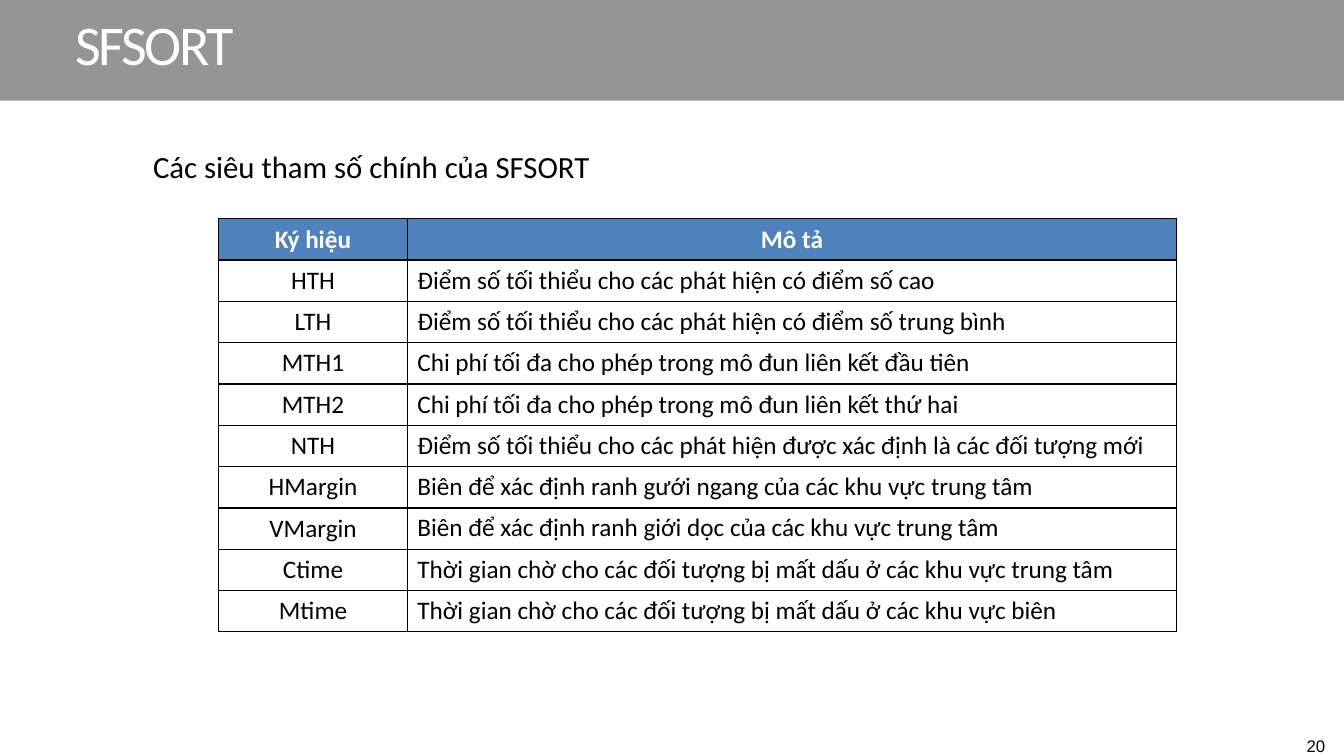
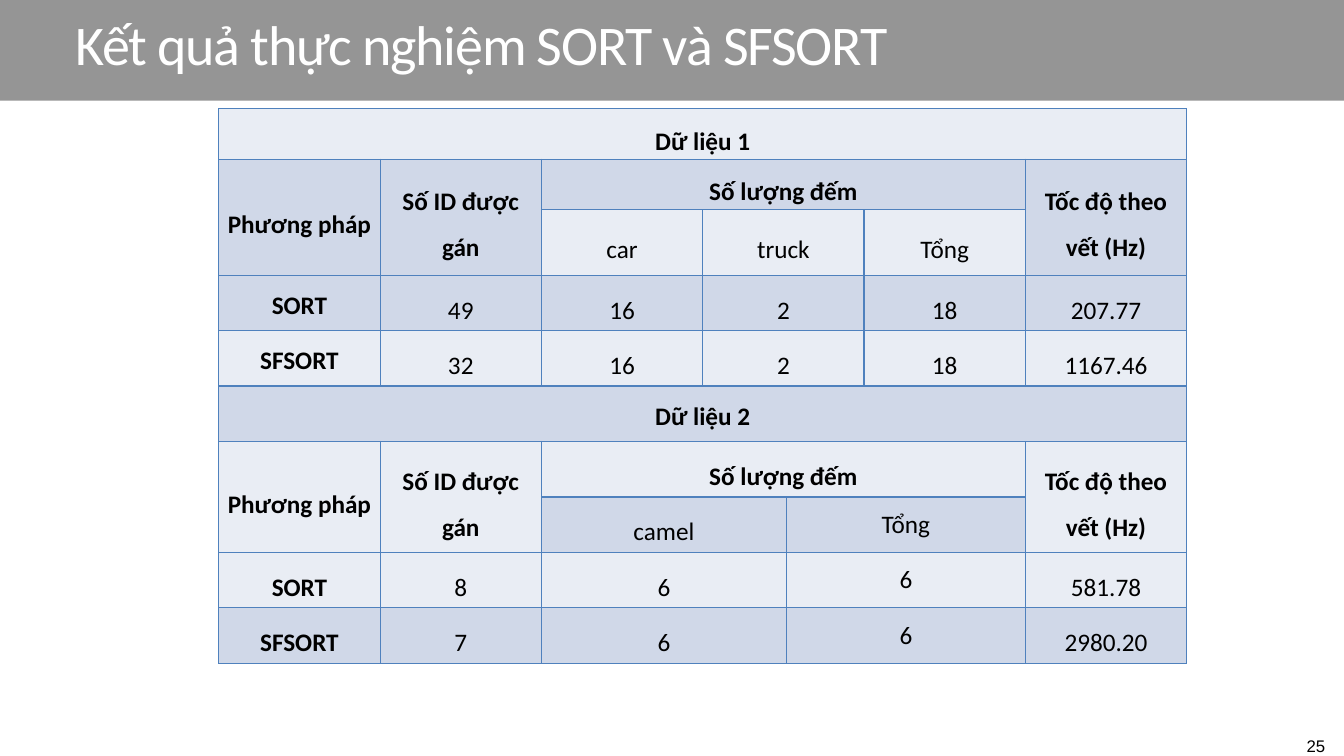
"""Build two slides on the SFSORT tracker: its parameters and its test results."""
from lxml.etree import SubElement
from pptx import Presentation
from pptx.dml.color import RGBColor
from pptx.enum.shapes import MSO_SHAPE
from pptx.enum.text import MSO_ANCHOR as Anchor, PP_ALIGN as Align
from pptx.oxml.ns import qn
from pptx.util import Inches, Pt

COLORS = {
    "band": "959595",
    "white": "FFFFFF",
    "black": "000000",
    "blue": "4F81BD",
    "pale": "E9EDF4",
    "tint": "D0D8E8",
}
LEFT, UP = "<", "^"

PARAMETERS = [
    ("Ký hiệu", "Mô tả"),
    ("HTH", "Điểm số tối thiểu cho các phát hiện có điểm số cao"),
    ("LTH", "Điểm số tối thiểu cho các phát hiện có điểm số trung bình"),
    ("MTH1", "Chi phí tối đa cho phép trong mô đun liên kết đầu tiên"),
    ("MTH2", "Chi phí tối đa cho phép trong mô đun liên kết thứ hai"),
    ("NTH", "Điểm số tối thiểu cho các phát hiện được xác định là các đối tượng mới"),
    ("HMargin", "Biên để xác định ranh gưới ngang của các khu vực trung tâm"),
    ("VMargin", "Biên để xác định ranh giới dọc của các khu vực trung tâm"),
    ("Ctime", "Thời gian chờ cho các đối tượng bị mất dấu ở các khu vực trung tâm"),
    ("Mtime", "Thời gian chờ cho các đối tượng bị mất dấu ở các khu vực biên"),
]

HEADINGS = ["Phương pháp", "Số ID được gán", "Số lượng đếm",
            LEFT, LEFT, LEFT, "Tốc độ theo vết (Hz)"]
RESULTS = [
    ["Dữ liệu 1"] + [LEFT] * 6,
    HEADINGS,
    [UP, UP, "car", "truck", LEFT, "Tổng", UP],
    ["SORT", "49", "16", "2", LEFT, "18", "207.77"],
    ["SFSORT", "32", "16", "2", LEFT, "18", "1167.46"],
    ["Dữ liệu 2"] + [LEFT] * 6,
    HEADINGS,
    [UP, UP, "camel", LEFT, "Tổng", LEFT, UP],
    ["SORT", "8", "6", LEFT, "6", LEFT, "581.78"],
    ["SFSORT", "7", "6", LEFT, "6", LEFT, "2980.20"],
]


class Slides:
    def __init__(self):
        self.deck = Presentation()
        self.deck.slide_width = Inches(13.33)
        self.deck.slide_height = Inches(7.5)
        self.page = None

    def style(self, para, size, color="black", bold=False, font="Calibri", spacing=None):
        para.font.name = font
        para.font.size = Pt(size)
        para.font.bold = bold
        para.font.color.rgb = RGBColor.from_string(COLORS[color])
        if spacing is not None:
            para.font._rPr.set("spc", str(round(spacing * 100)))

    def inset(self, frame, left=0, top=0, right=0, bottom=0):
        frame.margin_left, frame.margin_top = Inches(left), Inches(top)
        frame.margin_right, frame.margin_bottom = Inches(right), Inches(bottom)

    def add_page(self, heading, number, spacing):
        self.page = self.deck.slides.add_slide(self.deck.slide_layouts[5])
        title = self.page.shapes.title
        self.add_band(title)
        title.left, title.top = Inches(0.75), Inches(0.08)
        title.width, title.height = Inches(9.66), Inches(0.69)
        frame = title.text_frame
        self.inset(frame, top=0.01)
        frame.vertical_anchor = Anchor.TOP
        frame.text = heading
        para = frame.paragraphs[0]
        para.alignment = Align.LEFT
        self.style(para, 40, "white", spacing=spacing)
        self.add_number(number)

    def add_band(self, title):
        band = self.page.shapes.add_shape(
            MSO_SHAPE.RECTANGLE, 0, 0, self.deck.slide_width, Inches(1))
        band.shadow.inherit = False
        band.fill.solid()
        band.fill.fore_color.rgb = RGBColor.from_string(COLORS["band"])
        band.line.fill.background()
        title.element.addprevious(band.element)

    def add_text(self, text, left, top, width, height):
        box = self.page.shapes.add_textbox(
            Inches(left), Inches(top), Inches(width), Inches(height))
        box.text_frame.word_wrap = True
        box.text_frame.text = text
        return box.text_frame

    def add_number(self, number):
        frame = self.add_text(str(number), 12.92, 7.3, 0.28, 0.21)
        self.inset(frame, left=0.04)
        para = frame.paragraphs[0]
        para.line_spacing = Pt(14.2)
        self.style(para, 12, font="Arial", spacing=-0.2)

    def add_lead(self, text):
        frame = self.add_text(text, 1.42, 1.42, 5.33, 0.47)
        self.style(frame.paragraphs[0], 22)

    def add_table(self, left, top, widths, heights):
        table = self.page.shapes.add_table(
            len(heights), len(widths), Inches(left), Inches(top),
            Inches(sum(widths)), Inches(sum(heights))).table
        table.horz_banding = False
        for column, width in zip(table.columns, widths):
            column.width = Inches(width)
        for row, height in zip(table.rows, heights):
            row.height = Inches(height)
        return table

    def paint_cell(self, cell, fill, border):
        properties = cell._tc.get_or_add_tcPr()
        for side in ("a:lnL", "a:lnR", "a:lnT", "a:lnB"):
            line = SubElement(properties, qn(side), w=str(Pt(1)))
            solid = SubElement(line, qn("a:solidFill"))
            SubElement(solid, qn("a:srgbClr"), val=COLORS[border])
        cell.fill.solid()
        cell.fill.fore_color.rgb = RGBColor.from_string(COLORS[fill])

    def write_cell(self, cell, text, color="black", bold=False,
                   align=Align.CENTER, anchor=Anchor.MIDDLE):
        cell.text = text
        cell.vertical_anchor = anchor
        para = cell.text_frame.paragraphs[0]
        para.alignment = align
        self.style(para, 18, color, bold)
        return para

    def add_parameters(self, records):
        table = self.add_table(2.17, 2.17, [1.87, 7.63], [0.41] * len(records))
        for row, record in enumerate(records):
            header = row == 0
            for column, text in enumerate(record):
                cell = table.cell(row, column)
                centred = header or column == 0
                self.paint_cell(cell, "blue" if header else "white", "black")
                self.write_cell(cell, text, "white" if header else "black", header,
                                Align.CENTER if centred else Align.LEFT,
                                Anchor.MIDDLE if centred else Anchor.TOP)

    def add_results(self, grid):
        widths = [1.6, 1.6, 1.6, 0.83, 0.77, 1.6, 1.6]
        table = self.add_table(2.17, 1.08, widths, [0.5, 0.5, 0.65] + [0.55] * 7)
        for row, texts in enumerate(grid):
            for column, text in enumerate(texts):
                cell = table.cell(row, column)
                self.paint_cell(cell, "tint" if row % 2 else "pale", "blue")
                if text in (LEFT, UP):
                    origin = table.cell(row - (text == UP), column - (text == LEFT))
                    self.extend(table, origin, row, column)
                    continue
                self.inset(cell, left=0.07, right=0.07)
                top = column == 0 and row in (3, 4, 5)
                para = self.write_cell(cell, text, bold=column == 0 or texts is HEADINGS,
                                       anchor=Anchor.TOP if top else Anchor.MIDDLE)
                para.line_spacing = 1.0 if column == 4 else 1.5
                if column == 0:
                    para.space_before = Pt(6)
                if column == 6:
                    para.space_after = Pt(6)
        self.merge_spans(table, grid)

    def extend(self, table, origin, row, column):
        table.cell(row, column).vertical_anchor = origin.vertical_anchor

    def merge_spans(self, table, grid):
        for row, texts in enumerate(grid):
            for column, text in enumerate(texts):
                if text in (LEFT, UP):
                    continue
                right, bottom = column, row
                while right + 1 < len(texts) and texts[right + 1] == LEFT:
                    right += 1
                while bottom + 1 < len(grid) and grid[bottom + 1][column] == UP:
                    bottom += 1
                if (right, bottom) != (column, row):
                    table.cell(row, column).merge(table.cell(bottom, right))


def main():
    slides = Slides()
    slides.add_page("SFSORT", 20, -1.7)
    slides.add_lead("Các siêu tham số chính của SFSORT")
    slides.add_parameters(PARAMETERS)
    slides.add_page("Kết quả thực nghiệm SORT và SFSORT", 25, -0.9)
    slides.add_results(RESULTS)
    slides.deck.save("out.pptx")


if __name__ == "__main__":
    main()
